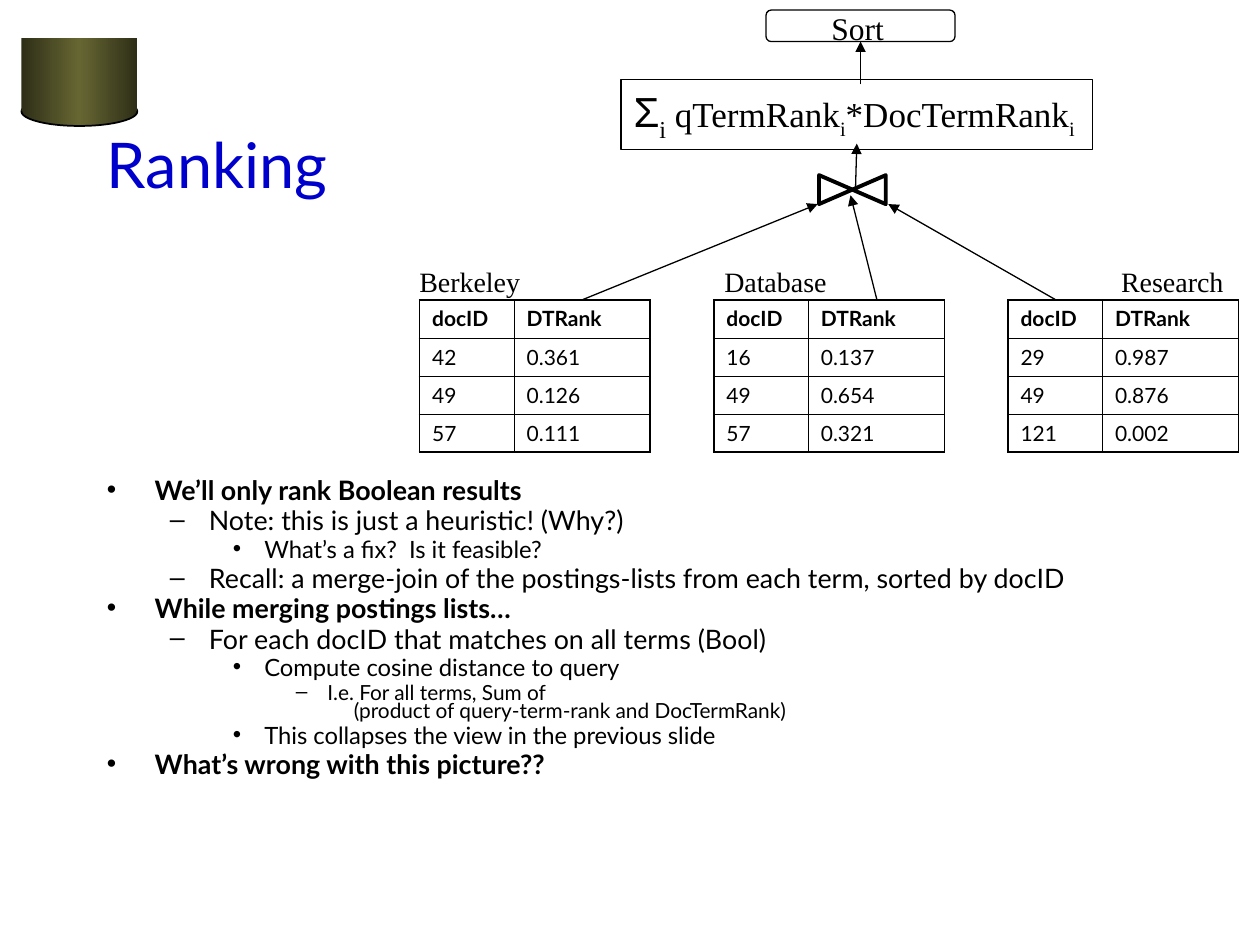
from lxml import etree
from pptx import Presentation
from pptx.dml.color import RGBColor
from pptx.enum import shapes, text
from pptx.oxml import ns
from pptx.util import Inches, Pt

BLACK = RGBColor(0, 0, 0)
BLUE = RGBColor(0x00, 0x00, 0xCC)
OLIVE_DARK = RGBColor(0x2F, 0x2F, 0x18)
OLIVE = RGBColor(0x66, 0x66, 0x33)
SANS, SERIF = "Lato", "Times New Roman"
SHAPE = shapes.MSO_SHAPE

LEVELS = [
    (0.38, 0.38, 15.3, 4.5, "•"),
    (0.81, 0.31, 15.3, 4.5, "–"),
    (1.25, 0.25, 13.6, 4, "•"),
    (1.75, 0.25, 11.9, 3.5, "–"),
    (1.96, 0, 11.9, 0, None),
]
OUTLINE = [
    (0, "We’ll only rank Boolean results"),
    (1, "Note: this is just a heuristic! (Why?)"),
    (2, "What’s a fix?  Is it feasible?"),
    (1, "Recall: a merge-join of the postings-lists from each term, sorted by docID"),
    (0, "While merging postings lists…"),
    (1, "For each docID that matches on all terms (Bool)"),
    (2, "Compute cosine distance to query"),
    (3, "I.e. For all terms, Sum of"),
    (4, "(product of query-term-rank and DocTermRank)"),
    (2, "This collapses the view in the previous slide"),
    (0, "What’s wrong with this picture??"),
]
HEADER = ("docID", "DTRank")
POSTINGS = [
    ("Berkeley", 3.23, [("42", "0.361"), ("49", "0.126"), ("57", "0.111")]),
    ("Database", 5.65, [("16", "0.137"), ("49", "0.654"), ("57", "0.321")]),
    ("Research", 8.8, [("29", "0.987"), ("49", "0.876"), ("121", "0.002")]),
]
FORMULA = [
    ("Σ", 24, "Arial", False),
    ("i", 24, SERIF, True),
    (" qTermRank", 20, SERIF, False),
    ("i", 20, SERIF, True),
    ("*DocTermRank", 20, SERIF, False),
    ("i", 20, SERIF, True),
]


def sub(parent, tag, **attrs):
    return etree.SubElement(parent, ns.qn(tag), attrs)


def style(r, size, font, color=BLACK, bold=False):
    r.font.size, r.font.name, r.font.bold = Pt(size), font, bold
    r.font.color.rgb = color


def add_outline_shape(s, kind, box, width):
    sp = s.shapes.add_shape(kind, *map(Inches, box))
    sp.shadow.inherit = False
    sp.fill.background()
    if width:
        sp.line.color.rgb, sp.line.width = BLACK, Pt(width)
    else:
        sp.line.fill.background()
    return sp


def add_label(s, box, label, size, font, color=BLACK):
    tf = s.shapes.add_textbox(*map(Inches, box)).text_frame
    tf.word_wrap = False
    tf.auto_size = text.MSO_AUTO_SIZE.SHAPE_TO_FIT_TEXT
    tf.text = label
    style(tf.paragraphs[0].runs[0], size, font, color)
    return tf


def add_arrow(s, x1, y1, x2, y2):
    line = s.shapes.add_connector(
        shapes.MSO_CONNECTOR.STRAIGHT, *map(Inches, (x1, y1, x2, y2)))
    line.line.color.rgb, line.line.width = BLACK, Pt(0.75)
    sub(line.line._get_or_add_ln(), "a:tailEnd", type="triangle")
    sub(line._element.spPr, "a:effectLst")


def add_cylinder(s, x, y, w, h):
    base = 0.23
    parts = [
        (SHAPE.OVAL, (x, y + h - base, w, base), 1),
        (SHAPE.RECTANGLE, (x, y, w, h - base / 2), 0),
    ]
    for kind, box, width in parts:
        sp = add_outline_shape(s, kind, box, width)
        sp.fill.gradient()
        sp.fill.gradient_angle = 180
        stops = sp._element.spPr.find(ns.qn("a:gradFill")).find(ns.qn("a:gsLst"))
        for stop in list(stops):
            stops.remove(stop)
        for pos, color in ((0, OLIVE_DARK), (50000, OLIVE), (100000, OLIVE_DARK)):
            sub(sub(stops, "a:gs", pos=str(pos)), "a:srgbClr", val=str(color))


def add_title(s, *box):
    tf = add_label(s, box, "Ranking", 36, SANS, BLUE)
    tf.word_wrap = True
    tf.auto_size = text.MSO_AUTO_SIZE.NONE
    tf.vertical_anchor = text.MSO_ANCHOR.MIDDLE


def add_outline(s, *box):
    tf = s.shapes.add_textbox(*map(Inches, box)).text_frame
    tf.word_wrap = True
    for i, (level, line) in enumerate(OUTLINE):
        left, hang, size, before, bullet = LEVELS[level]
        p = tf.add_paragraph() if i else tf.paragraphs[0]
        p.text = line
        p.level = min(level, 3)
        p.line_spacing, p.space_before = 0.7, Pt(before)
        style(p.runs[0], size, SANS, bold=level == 0)
        pPr = p._p.get_or_add_pPr()
        pPr.set("marL", str(Inches(left)))
        pPr.set("indent", str(-Inches(hang)))
        if bullet:
            sub(sub(pPr, "a:buClr"), "a:srgbClr", val=str(BLACK))
            sub(pPr, "a:buFont", typeface="Arial")
            sub(pPr, "a:buChar", char=bullet)
        else:
            sub(pPr, "a:buNone")


def set_borders(cell, edges):
    tcPr = cell._tc.get_or_add_tcPr()
    for i, (side, outer) in enumerate(edges):
        ln = etree.Element(ns.qn("a:ln" + side), w=str(Pt(1.08 if outer else 0.45)))
        sub(sub(ln, "a:solidFill"), "a:srgbClr", val=str(BLACK))
        tcPr.insert(i, ln)


def add_postings(s, x, y, w, h, rows):
    data = [HEADER] + rows
    last = len(data) - 1
    table = s.shapes.add_table(len(data), 2, *map(Inches, (x, y, w, h))).table
    table.first_row = table.horz_banding = False
    table.columns[0].width, table.columns[1].width = Inches(0.75), Inches(w - 0.75)
    for i, row in enumerate(data):
        for j, value in enumerate(row):
            cell = table.cell(i, j)
            cell.fill.background()
            cell.text_frame.text = value
            p = cell.text_frame.paragraphs[0]
            p.space_before = Pt(3)
            style(p.runs[0], 12, SANS, bold=i == 0)
            set_borders(cell, [("L", j == 0), ("R", j == 1), ("T", i == 0), ("B", i == last)])


def add_join(s, x, y, w, h):
    half = w / 2
    for i, angle in enumerate((90, 270)):
        left = x + i * half + (half - h) / 2
        top = y + (h - half) / 2
        sp = add_outline_shape(s, SHAPE.ISOSCELES_TRIANGLE, (left, top, h, half), 2.25)
        sp.rotation = angle


def add_formula(s, *box):
    tf = add_outline_shape(s, SHAPE.RECTANGLE, box, 0.75).text_frame
    tf.word_wrap = False
    p = tf.paragraphs[0]
    p.alignment = text.PP_ALIGN.LEFT
    for part, size, font, lowered in FORMULA:
        r = p.add_run()
        r.text = part
        style(r, size, font)
        if lowered:
            r.font._element.set("baseline", "-25000")


def add_sort(s, x, y, w, h):
    add_outline_shape(s, SHAPE.ROUNDED_RECTANGLE, (x, y, w, h), 0.75)
    add_label(s, (x + 0.42, y - 0.06, 0.64, 0.4), "Sort", 18, SERIF)


def add_query_plan(s, x, y, w):
    table_w, table_y = 1.83, y + 2.3
    step = (w - table_w) / (len(POSTINGS) - 1)
    for i, (term, label_x, rows) in enumerate(POSTINGS):
        add_postings(s, x + i * step, table_y, table_w, 1.21, rows)
        add_label(s, (label_x, table_y - 0.33, 1.04, 0.37), term, 16, SERIF)
    add_join(s, 6.5, y + 1.31, 0.53, 0.23)
    add_formula(s, 4.93, y + 0.55, 3.74, 0.56)
    add_sort(s, 6.08, y, 1.5, 0.25)
    for ends in ((4.62, 2.38, 6.49, 1.62), (6.96, 2.38, 6.75, 1.55),
                 (8.38, 2.38, 7.05, 1.62), (6.79, 1.5, 6.8, 1.14),
                 (6.83, 0.67, 6.83, 0.33)):
        add_arrow(s, *ends)


def main():
    prs = Presentation()
    prs.slide_width, prs.slide_height = Inches(10), Inches(7.5)
    s = prs.slides.add_slide(prs.slide_layouts[6])
    add_cylinder(s, 0.17, 0.3, 0.92, 0.7)
    add_title(s, 0.75, 0.67, 8.5, 1.25)
    add_outline(s, 0.75, 3.78, 8.5, 2.49)
    add_query_plan(s, 3.33, 0.08, 6.5)
    prs.save("out.pptx")


if __name__ == "__main__":
    main()
